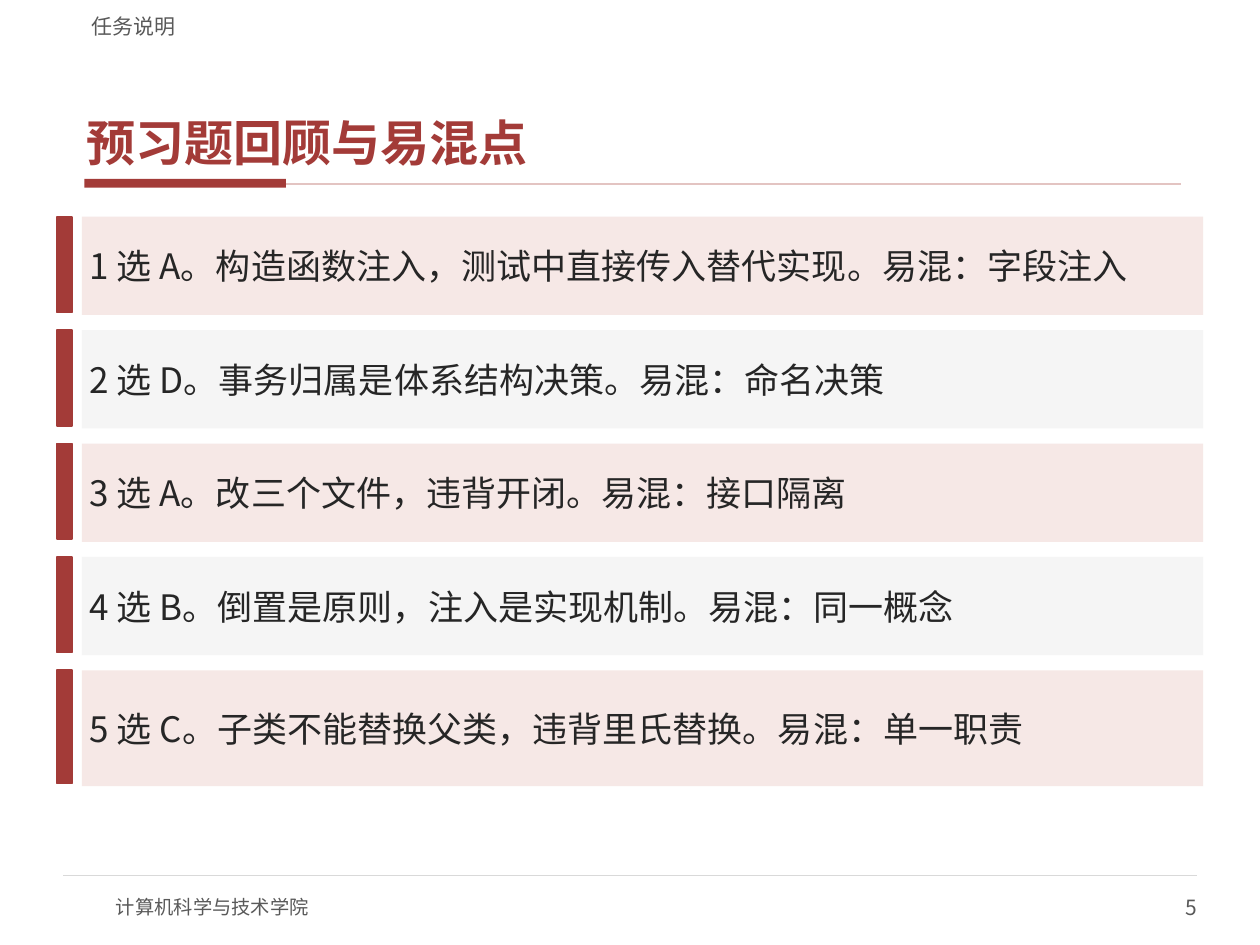
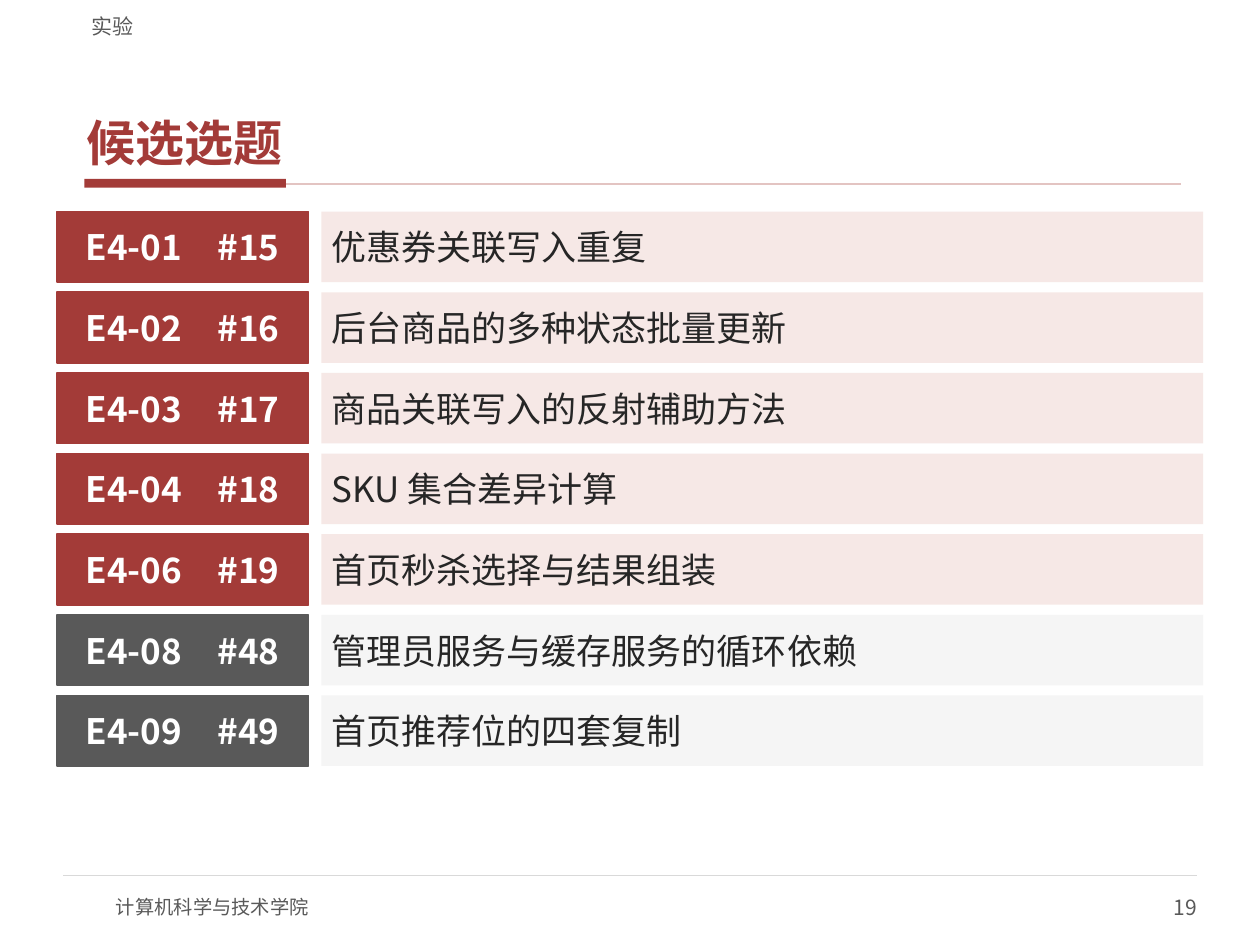
from dataclasses import dataclass
from typing import NamedTuple

from lxml import etree
from pptx import Presentation
from pptx.dml.color import RGBColor
from pptx.enum.shapes import MSO_CONNECTOR, MSO_SHAPE
from pptx.enum.text import MSO_ANCHOR, PP_ALIGN
from pptx.oxml.ns import qn
from pptx.presentation import Presentation as Deck
from pptx.shapes.autoshape import Shape
from pptx.slide import Slide
from pptx.util import Inches, Pt

RECTANGLE = MSO_SHAPE.RECTANGLE
STRAIGHT = MSO_CONNECTOR.STRAIGHT
MIDDLE, BOTTOM = MSO_ANCHOR.MIDDLE, MSO_ANCHOR.BOTTOM
LEFT, CENTER, RIGHT = PP_ALIGN.LEFT, PP_ALIGN.CENTER, PP_ALIGN.RIGHT

FONT = "Noto Sans CJK SC"
RED, ROSE, PALE_RED = "A33B38", "F6E8E6", "E3C4C2"
GRAY, LIGHT_GRAY, RULE_GRAY = "595959", "F5F5F5", "D9D9D9"
INK, WHITE = "262626", "FFFFFF"
SCHOOL = "计算机科学与技术学院"

ROW_LEFT, ROW_RIGHT = 0.45, 9.55


class Box(NamedTuple):
    left: float
    top: float
    width: float
    height: float


@dataclass(frozen=True)
class TextStyle:
    size: float
    color: str
    bold: bool = False
    align: PP_ALIGN = LEFT
    anchor: MSO_ANCHOR = MIDDLE
    inset_x: float = 0
    inset_y: float = 0
    space_after: float = 0


@dataclass(frozen=True)
class Answer:
    text: str
    height: float = 0.78


@dataclass(frozen=True)
class Topic:
    code: str
    issue: str
    name: str
    tag_fill: str = RED
    name_fill: str = ROSE


SECTION = TextStyle(12, GRAY, anchor=BOTTOM, inset_x=0.1)
TITLE = TextStyle(28, RED, bold=True, anchor=BOTTOM,
                  inset_x=0.06, inset_y=0.02, space_after=2)
FOOTER = TextStyle(11, GRAY)
PAGE_NUMBER = TextStyle(12, GRAY, align=RIGHT)
ANSWER = TextStyle(20, INK, inset_x=0.06, inset_y=0.03)
TOPIC_TAG = TextStyle(20, WHITE, bold=True, align=CENTER, inset_x=0.08, inset_y=0.04)
TOPIC_NAME = TextStyle(20, INK, inset_x=0.08, inset_y=0.04)

ANSWERS = [
    Answer("1 选 A。构造函数注入，测试中直接传入替代实现。易混：字段注入"),
    Answer("2 选 D。事务归属是体系结构决策。易混：命名决策"),
    Answer("3 选 A。改三个文件，违背开闭。易混：接口隔离"),
    Answer("4 选 B。倒置是原则，注入是实现机制。易混：同一概念"),
    Answer("5 选 C。子类不能替换父类，违背里氏替换。易混：单一职责", 0.92),
]

TOPICS = [
    Topic("E4-01", "#15", "优惠券关联写入重复"),
    Topic("E4-02", "#16", "后台商品的多种状态批量更新"),
    Topic("E4-03", "#17", "商品关联写入的反射辅助方法"),
    Topic("E4-04", "#18", "SKU 集合差异计算"),
    Topic("E4-06", "#19", "首页秒杀选择与结果组装"),
    Topic("E4-08", "#48", "管理员服务与缓存服务的循环依赖", GRAY, LIGHT_GRAY),
    Topic("E4-09", "#49", "首页推荐位的四套复制", GRAY, LIGHT_GRAY),
]


def rgb(color: str) -> RGBColor:
    return RGBColor.from_string(color)


def inches(box: Box) -> list[Inches]:
    return [Inches(length) for length in box]


def write(shape: Shape, text: str, style: TextStyle) -> None:
    frame = shape.text_frame
    frame.word_wrap = True
    frame.vertical_anchor = style.anchor
    frame.margin_left = frame.margin_right = Inches(style.inset_x)
    frame.margin_top = frame.margin_bottom = Inches(style.inset_y)
    paragraph = frame.paragraphs[0]
    paragraph.text = text
    paragraph.alignment = style.align
    paragraph.space_after = Pt(style.space_after)
    font = paragraph.font
    font.name = FONT
    font.size = Pt(style.size)
    font.bold = style.bold
    font.color.rgb = rgb(style.color)
    defaults = paragraph._p.pPr.find(qn("a:defRPr"))
    etree.SubElement(defaults, qn("a:ea"), typeface=FONT)


def add_label(slide: Slide, box: Box, text: str, style: TextStyle) -> None:
    write(slide.shapes.add_textbox(*inches(box)), text, style)


def add_band(slide: Slide, box: Box, fill: str, outlined: bool = False) -> Shape:
    band = slide.shapes.add_shape(RECTANGLE, *inches(box))
    band.shadow.inherit = False
    band.fill.solid()
    band.fill.fore_color.rgb = rgb(fill)
    if outlined:
        band.line.color.rgb = rgb(fill)
        band.line.width = Pt(1)
    else:
        band.line.fill.background()
    return band


def add_rule(slide: Slide, left: float, right: float, y: float,
             color: str, weight: float) -> None:
    rule = slide.shapes.add_connector(
        STRAIGHT, Inches(left), Inches(y), Inches(right), Inches(y))
    rule.line.color.rgb = rgb(color)
    rule.line.width = Pt(weight)
    etree.SubElement(rule._element.spPr, qn("a:effectLst"))


def add_page(deck: Deck, section: str, title: str, number: int) -> Slide:
    slide = deck.slides.add_slide(deck.slide_layouts[6])
    add_band(slide, Box(0.67, 1.42, 1.6, 0.07), RED)
    add_rule(slide, 2.27, 9.37, 1.46, PALE_RED, 1)
    add_rule(slide, 0.5, 9.5, 6.95, RULE_GRAY, 0.75)
    add_label(slide, Box(0.92, 7, 4, 0.4), SCHOOL, FOOTER)
    add_label(slide, Box(7.5, 7, 2, 0.4), str(number), PAGE_NUMBER)
    add_label(slide, Box(0.63, 0.33, 8.75, 1.05), title, TITLE)
    add_label(slide, Box(0.63, 0.04, 8.75, 0.27), section, SECTION)
    return slide


def add_answers(slide: Slide, answers: list[Answer]) -> None:
    first_top, pitch, text_left = 1.72, 0.9, 0.65
    for index, answer in enumerate(answers):
        top = first_top + index * pitch
        add_band(slide, Box(ROW_LEFT, top, 0.12, answer.height - 0.02), RED, outlined=True)
        fill = LIGHT_GRAY if index % 2 else ROSE
        row = add_band(
            slide, Box(text_left, top, ROW_RIGHT - text_left, answer.height), fill)
        write(row, answer.text, ANSWER)


def add_topics(slide: Slide, topics: list[Topic]) -> None:
    first_top, pitch, height, name_left = 1.68, 0.64, 0.56, 2.55
    for index, topic in enumerate(topics):
        top = first_top + index * pitch
        tag = add_band(slide, Box(ROW_LEFT, top, 2, height), topic.tag_fill, outlined=True)
        write(tag, f"{topic.code}　{topic.issue}", TOPIC_TAG)
        name = add_band(
            slide, Box(name_left, top, ROW_RIGHT - name_left, height), topic.name_fill)
        write(name, topic.name, TOPIC_NAME)


def main() -> None:
    deck = Presentation()
    deck.slide_width, deck.slide_height = Inches(10), Inches(7.5)
    add_answers(add_page(deck, "任务说明", "预习题回顾与易混点", 5), ANSWERS)
    add_topics(add_page(deck, "实验", "候选选题", 19), TOPICS)
    deck.save("out.pptx")


if __name__ == "__main__":
    main()
